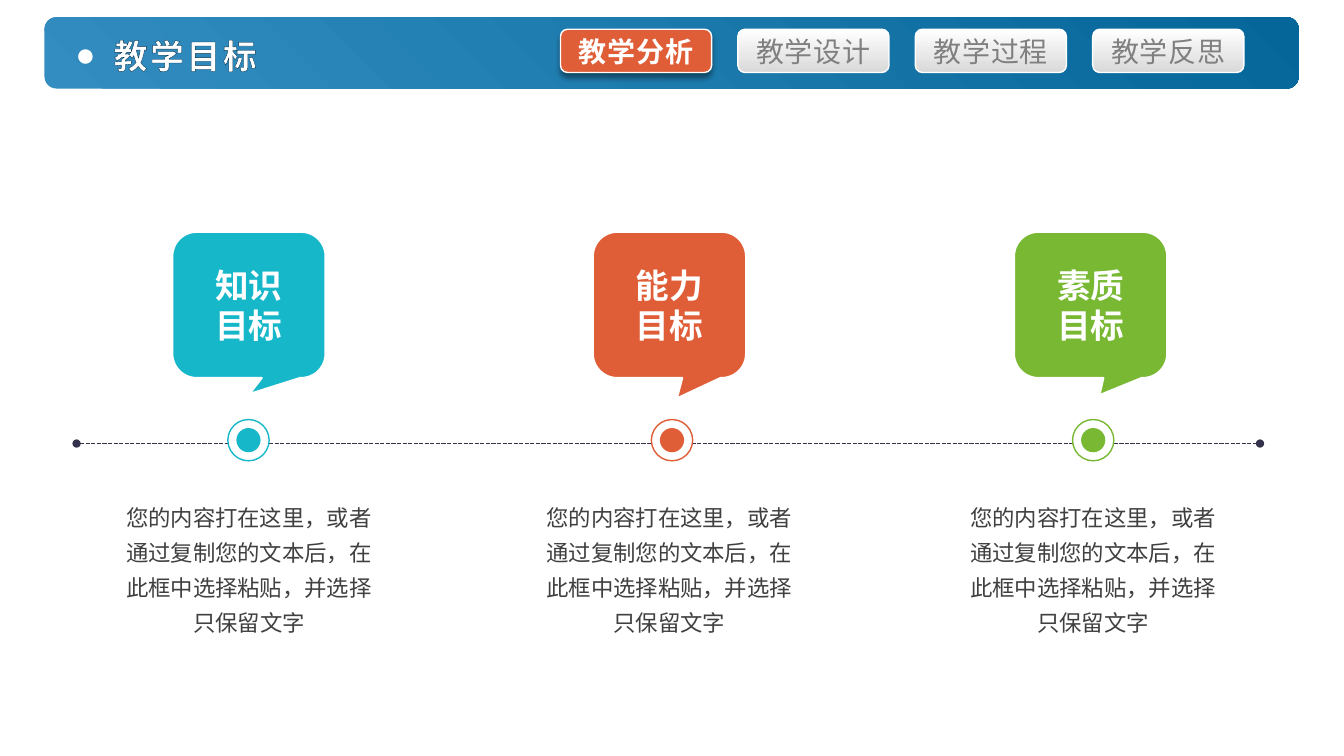
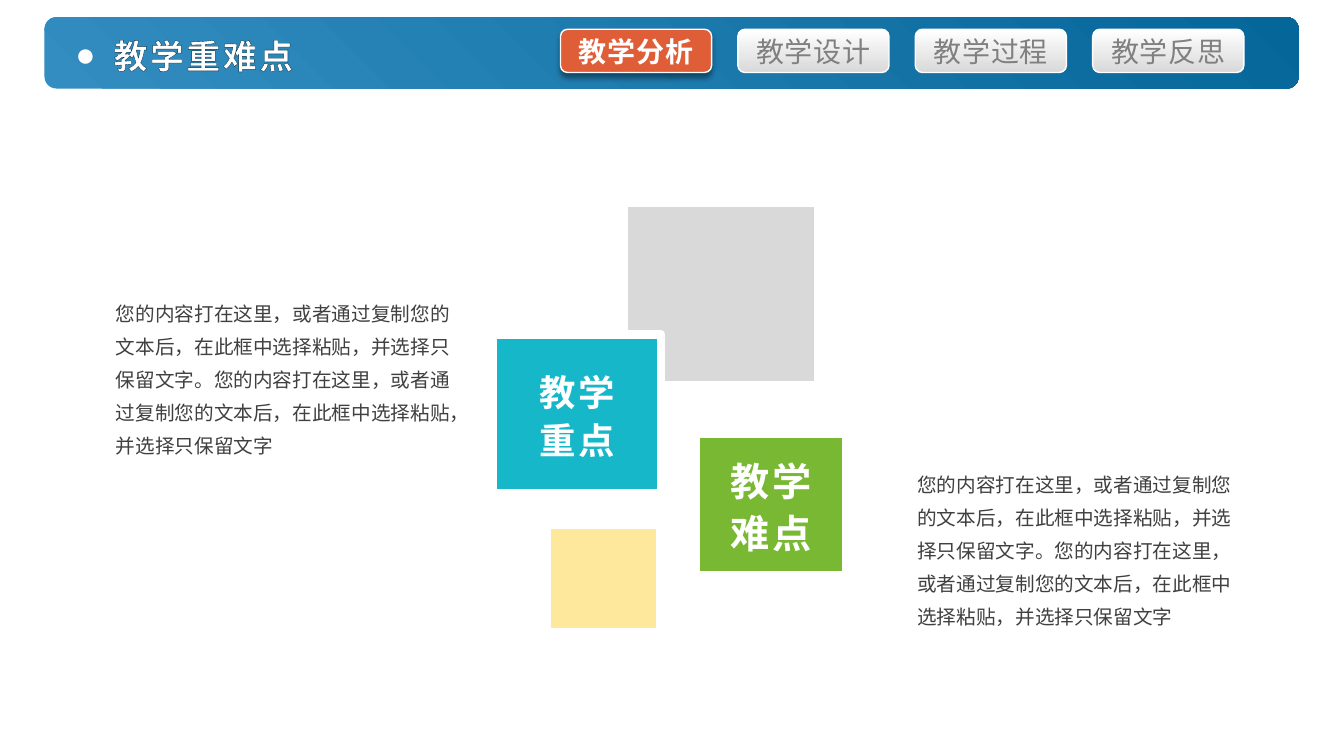
from lxml import etree
from pptx import Presentation
from pptx.dml.color import RGBColor
from pptx.enum.dml import MSO_LINE
from pptx.enum.shapes import MSO_CONNECTOR, MSO_SHAPE
from pptx.enum.text import MSO_ANCHOR, PP_ALIGN
from pptx.oxml.ns import qn
from pptx.util import Inches, Pt

RECT = MSO_SHAPE.RECTANGLE
ROUNDED = MSO_SHAPE.ROUNDED_RECTANGLE
CALLOUT = MSO_SHAPE.ROUNDED_RECTANGULAR_CALLOUT
OVAL = MSO_SHAPE.OVAL
STRAIGHT = MSO_CONNECTOR.STRAIGHT
DASHED = MSO_LINE.SQUARE_DOT
LEFT, CENTER = PP_ALIGN.LEFT, PP_ALIGN.CENTER
TOP, MIDDLE = MSO_ANCHOR.TOP, MSO_ANCHOR.MIDDLE

COLORS = {
    "white": "FFFFFF", "bar_start": "338DC0", "bar_end": "056699",
    "silver": "D9D9D9", "muted": "808080", "body": "404040",
    "outline": "03334C", "axis": "33314C", "shadow": "000000",
    "teal": "17B7CA", "orange": "DF5E37", "green": "78B832", "cream": "FEE89B",
}
COLUMNS, ROWS = 160, 90
EAST_ASIAN_FONT = "Noto Sans CJK SC"
SECTIONS = ["教学分析", "教学设计", "教学过程", "教学反思"]
SENTENCE = "您的内容打在这里，或者通过复制您的文本后，在此框中选择粘贴，并选择只保留文字"


def rgb(name):
    return RGBColor.from_string(COLORS[name])


def add_xml(parent, tag, **attributes):
    return etree.SubElement(parent, qn(tag), attributes)


class Deck:
    def __init__(self):
        self.presentation = Presentation()
        self.presentation.slide_width = Inches(13.33)
        self.presentation.slide_height = Inches(7.5)
        self.column = self.presentation.slide_width / COLUMNS
        self.row = self.presentation.slide_height / ROWS
        self.slide = None

    def place(self, left, top, width, height):
        return (round(left * self.column), round(top * self.row),
                round(width * self.column), round(height * self.row))

    def new_slide(self, title, title_width):
        self.slide = self.presentation.slides.add_slide(
            self.presentation.slide_layouts[6])
        bar = self.shape(ROUNDED, (5.3, 2.04, 149.3, 8.5))
        self.gradient(bar, "bar_start", "bar_end", 45)
        for index, section in enumerate(SECTIONS):
            self.tab(index, section, active=index == 0)
        self.title(title, title_width)

    def shape(self, kind, box, fill=None, line=None, line_width=1):
        shape = self.slide.shapes.add_shape(kind, *self.place(*box))
        shape.shadow.inherit = False
        if fill:
            shape.fill.solid()
            shape.fill.fore_color.rgb = rgb(fill)
        if line:
            shape.line.color.rgb = rgb(line)
            shape.line.width = Pt(line_width)
        else:
            shape.line.fill.background()
        return shape

    def gradient(self, shape, start, end, angle):
        shape.fill.gradient()
        shape.fill.gradient_angle = angle
        for stop, color in zip(shape.fill.gradient_stops, (start, end)):
            stop.color.rgb = rgb(color)

    def set_text(self, shape, text, size, font, color="white", bold=False,
                 align=CENTER, anchor=MIDDLE, spacing=None, tracking=0,
                 wrap=True, insets=(0.1, 0.05)):
        frame = shape.text_frame
        frame.text = text
        frame.word_wrap = wrap
        frame.vertical_anchor = anchor
        frame.margin_left = frame.margin_right = Inches(insets[0])
        frame.margin_top = frame.margin_bottom = Inches(insets[1])
        for paragraph in frame.paragraphs:
            paragraph.alignment = align
            if spacing:
                paragraph.line_spacing = spacing
            for run in paragraph.runs:
                run.font.size = Pt(size)
                run.font.bold = bold
                run.font.color.rgb = rgb(color)
                run.font.name = font
                properties = run.font._element
                properties.set("spc", str(round(tracking * 100)))
                add_xml(properties, "a:ea", typeface=EAST_ASIAN_FONT)
        return frame

    def text(self, box, text, size, font, **style):
        holder = self.slide.shapes.add_textbox(*self.place(*box))
        return self.set_text(holder, text, size, font, anchor=TOP, **style)

    def tab(self, index, section, active):
        tab = self.shape(ROUNDED, (66.72 + 21.12 * index, 3.48, 18, 5.16),
                         "orange" if active else None, "white")
        if active:
            self.drop_shadow(tab)
        else:
            self.gradient(tab, "silver", "white", 90)
        self.set_text(tab, section, 20, "Roboto",
                      "white" if active else "muted",
                      bold=active, tracking=0.5)

    def drop_shadow(self, shape):
        effects = shape._element.spPr.find(qn("a:effectLst"))
        shadow = add_xml(effects, "a:outerShdw", blurRad=str(Pt(4)),
                         dist=str(Pt(3)), dir="5400000", rotWithShape="0")
        tint = add_xml(shadow, "a:srgbClr", val=COLORS["shadow"])
        add_xml(tint, "a:alpha", val="40000")

    def title(self, title, width):
        frame = self.text((7.8, 3.6, width, 6), title, 24, "Calibri",
                          bold=True, align=LEFT, tracking=2, wrap=False)
        paragraph = frame.paragraphs[0]
        properties = paragraph._p.get_or_add_pPr()
        properties.set("marL", str(Inches(0.38)))
        properties.set("indent", str(-Inches(0.38)))
        bullet_color = add_xml(properties, "a:buClr")
        add_xml(bullet_color, "a:srgbClr", val=COLORS["white"])
        add_xml(properties, "a:buFont", typeface="Arial")
        add_xml(properties, "a:buChar", char="●")
        outline = etree.Element(qn("a:ln"), {"w": str(Pt(0.25))})
        outline_fill = add_xml(outline, "a:solidFill")
        add_xml(outline_fill, "a:srgbClr", val=COLORS["outline"])
        paragraph.runs[0].font._element.insert(0, outline)

    def axis(self, start, end, row):
        left, top, right, _ = self.place(start, row, end, 0)
        axis = self.slide.shapes.add_connector(STRAIGHT, left, top, right, top)
        axis.line.color.rgb = rgb("axis")
        axis.line.width = Pt(1)
        axis.line.dash_style = DASHED
        line = axis.line._get_or_add_ln()
        add_xml(line, "a:headEnd", type="oval")
        add_xml(line, "a:tailEnd", type="oval")
        add_xml(axis._element.spPr, "a:effectLst")

    def disc(self, center, row, diameter, fill, line=None):
        self.shape(OVAL, (center - diameter / 2, row - diameter / 2,
                          diameter, diameter), fill, line)

    def callout(self, center, label, color, tip):
        callout = self.shape(CALLOUT, (center - 9.12, 27.6, 18.24, 17.4),
                             color, "white", 1.5)
        callout.adjustments[0], callout.adjustments[1] = tip
        self.set_text(callout, label, 24, "Arial", bold=True)

    def square(self, box, color, label=None, size=None):
        square = self.shape(RECT, box, color, "white", 6)
        if label:
            self.set_text(square, label, size, EAST_ASIAN_FONT, bold=True,
                          spacing=1.1, tracking=2, insets=(0, 0))

    def save(self):
        self.presentation.save("out.pptx")


def goals_slide(deck):
    deck.new_slide("教学目标", 24.5)
    deck.axis(9.12, 150, 52.8)
    goals = [
        ("知识\n目标", "teal", (0.002, 0.61), 29.64, 29.58, 29.64),
        ("能力\n目标", "orange", (0.048, 0.64), 79.7, 80, 79.68),
        ("素质\n目标", "green", (0.057, 0.618), 129.84, 130.14, 130.14),
    ]
    for label, color, tip, callout_center, marker_center, text_center in goals:
        deck.disc(marker_center, 52.4, 4.92, "white", color)
        deck.disc(marker_center, 52.4, 2.88, color)
        deck.callout(callout_center, label, color, tip)
        deck.text((text_center - 16.85, 58.44, 33.7, 17.64), SENTENCE, 16,
                  "Arial", color="body", spacing=1.3)


def key_points_slide(deck):
    deck.new_slide("教学重难点", 28.8)
    deck.square((74.2, 24.1, 23.2, 21.8), "silver")
    deck.square((58.7, 39.84, 20, 18.84), "teal", "教学\n重点", 26)
    deck.square((82.8, 51.6, 17.9, 16.92), "green", "教学\n难点", 28)
    deck.square((65.04, 62.52, 13.56, 12.72), "cream")
    for box in [(12.24, 33.96, 43.2, 21.36), (107.64, 54.36, 42.36, 21.36)]:
        deck.text(box, f"{SENTENCE}。{SENTENCE}", 14, "Calibri", color="body",
                  align=LEFT, spacing=1.4, insets=(0.13, 0.07))


def main():
    deck = Deck()
    goals_slide(deck)
    key_points_slide(deck)
    deck.save()


if __name__ == "__main__":
    main()
